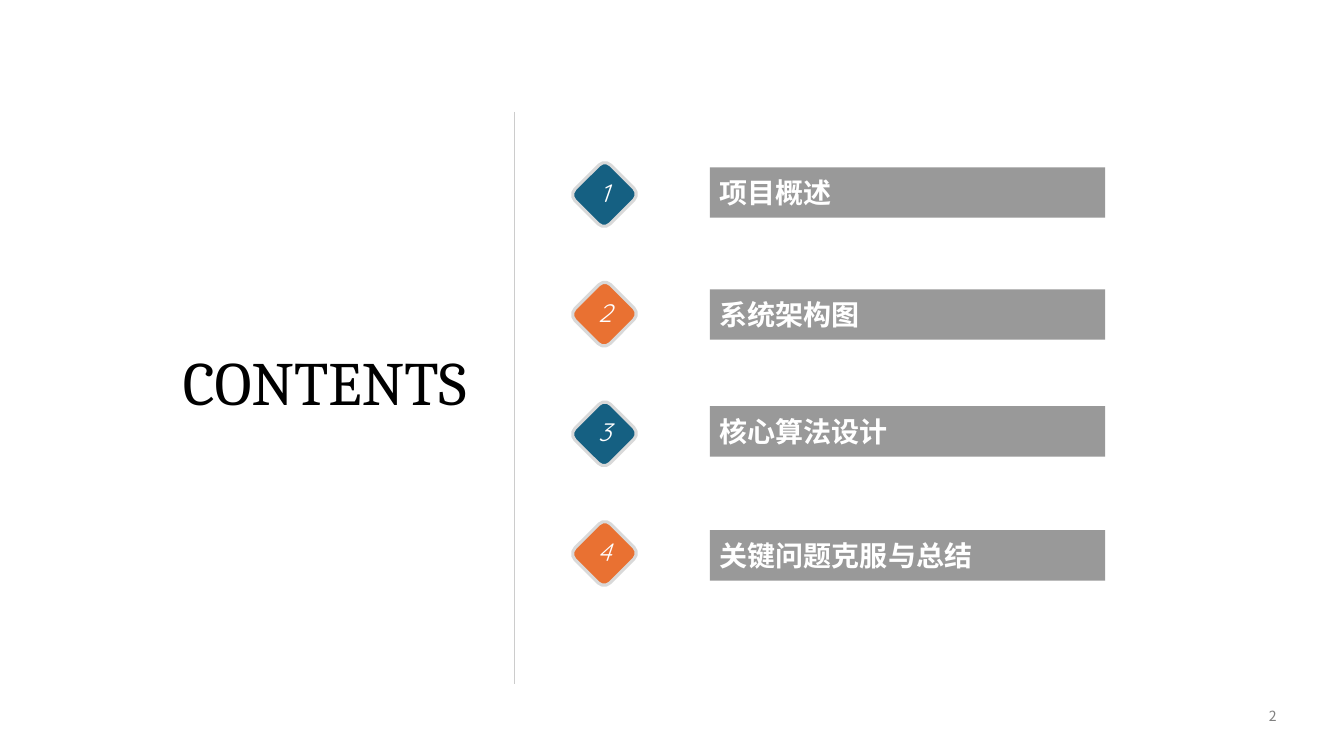
"""Build a contents slide with four numbered chapters."""
from lxml.etree import SubElement
from pptx import Presentation
from pptx.dml.color import RGBColor
from pptx.enum.shapes import MSO_CONNECTOR, MSO_SHAPE
from pptx.enum.text import MSO_ANCHOR, MSO_AUTO_SIZE, PP_ALIGN
from pptx.oxml.ns import qn
from pptx.util import Inches, Pt

HEADING = "CONTENTS"
PAGE_NUMBER = "2"
CHAPTERS = [
    ("项目概述", 1.66),
    ("系统架构图", 2.87),
    ("核心算法设计", 4.03),
    ("关键问题克服与总结", 5.26),
]
COLORS = {
    "bar": "999999", "divider": "CCCCCC", "rim": "D9D9D9", "page": "808080",
    "blue": "156082", "orange": "E97132", "white": "FFFFFF", "black": "000000",
}
BADGE_FILLS = ["blue", "orange"]
SANS = "Noto Sans CJK SC"
FONTS = {
    "chapter": {"name": SANS, "size": Pt(20), "bold": True},
    "heading": {"name": "Cambria", "size": Pt(44)},
    "number": {"name": "Quicksand", "size": Pt(18), "italic": True},
    "page": {"name": SANS, "size": Pt(10)},
}
FRAMES = {
    "chapter": {"word_wrap": False, "vertical_anchor": MSO_ANCHOR.MIDDLE},
    "heading": {"word_wrap": False, "vertical_anchor": MSO_ANCHOR.TOP},
    "number": {"word_wrap": False, "auto_size": MSO_AUTO_SIZE.SHAPE_TO_FIT_TEXT},
    "page": {"word_wrap": True, "vertical_anchor": MSO_ANCHOR.MIDDLE},
}
ALIGNMENTS = {
    "chapter": PP_ALIGN.LEFT, "heading": PP_ALIGN.RIGHT,
    "number": PP_ALIGN.CENTER, "page": PP_ALIGN.RIGHT,
}
BADGE_TOP, BADGE_PITCH = 1.68, 1.187


def color(key):
    return RGBColor.from_string(COLORS[key])


def add_block(slide, preset, box, fill, rim=None):
    block = slide.shapes.add_shape(preset, *map(Inches, box))
    block.shadow.inherit = False
    block.fill.solid()
    block.fill.fore_color.rgb = color(fill)
    if rim:
        block.line.color.rgb = color(rim)
        block.line.width = Pt(2.25)
    else:
        block.line.fill.background()
    return block


def write(holder, text, role, ink):
    frame = holder.text_frame
    for attribute, value in FRAMES[role].items():
        setattr(frame, attribute, value)
    paragraph = frame.paragraphs[0]
    paragraph.alignment = ALIGNMENTS[role]
    run = paragraph.add_run()
    run.text = text
    for attribute, value in FONTS[role].items():
        setattr(run.font, attribute, value)
    run.font.color.rgb = color(ink)
    SubElement(run._r.get_or_add_rPr(), qn("a:ea"), typeface=FONTS[role]["name"])


def add_label(slide, box, text, role, ink):
    write(slide.shapes.add_textbox(*map(Inches, box)), text, role, ink)


def main():
    deck = Presentation()
    deck.slide_width, deck.slide_height = Inches(13.33), Inches(7.5)
    slide = deck.slides.add_slide(deck.slide_layouts[6])

    divider = slide.shapes.add_connector(
        MSO_CONNECTOR.STRAIGHT, *map(Inches, (5.1, 1.11, 5.1, 6.79)))
    divider.line.color.rgb = color("divider")
    divider.line.width = Pt(1)
    SubElement(divider._element.spPr, qn("a:effectLst"))

    heading = add_block(slide, MSO_SHAPE.RECTANGLE, (2.37, 3.36, 2.36, 0.99), "white")
    write(heading, HEADING, "heading", "black")

    for index, (title, bar_top) in enumerate(CHAPTERS):
        bar = add_block(slide, MSO_SHAPE.RECTANGLE, (7.04, bar_top, 3.92, 0.5), "bar")
        write(bar, title, "chapter", "white")
        badge_top = BADGE_TOP + index * BADGE_PITCH
        badge = add_block(slide, MSO_SHAPE.ROUNDED_RECTANGLE,
                          (5.75, badge_top, 0.49, 0.5),
                          BADGE_FILLS[index % len(BADGE_FILLS)], "rim")
        badge.rotation = 45
        add_label(slide, (5.8, badge_top + 0.03, 0.39, 0.45),
                  str(index + 1), "number", "white")

    add_label(slide, (9.58, 6.99, 3.18, 0.23), PAGE_NUMBER, "page", "page")
    deck.save("out.pptx")


if __name__ == "__main__":
    main()
